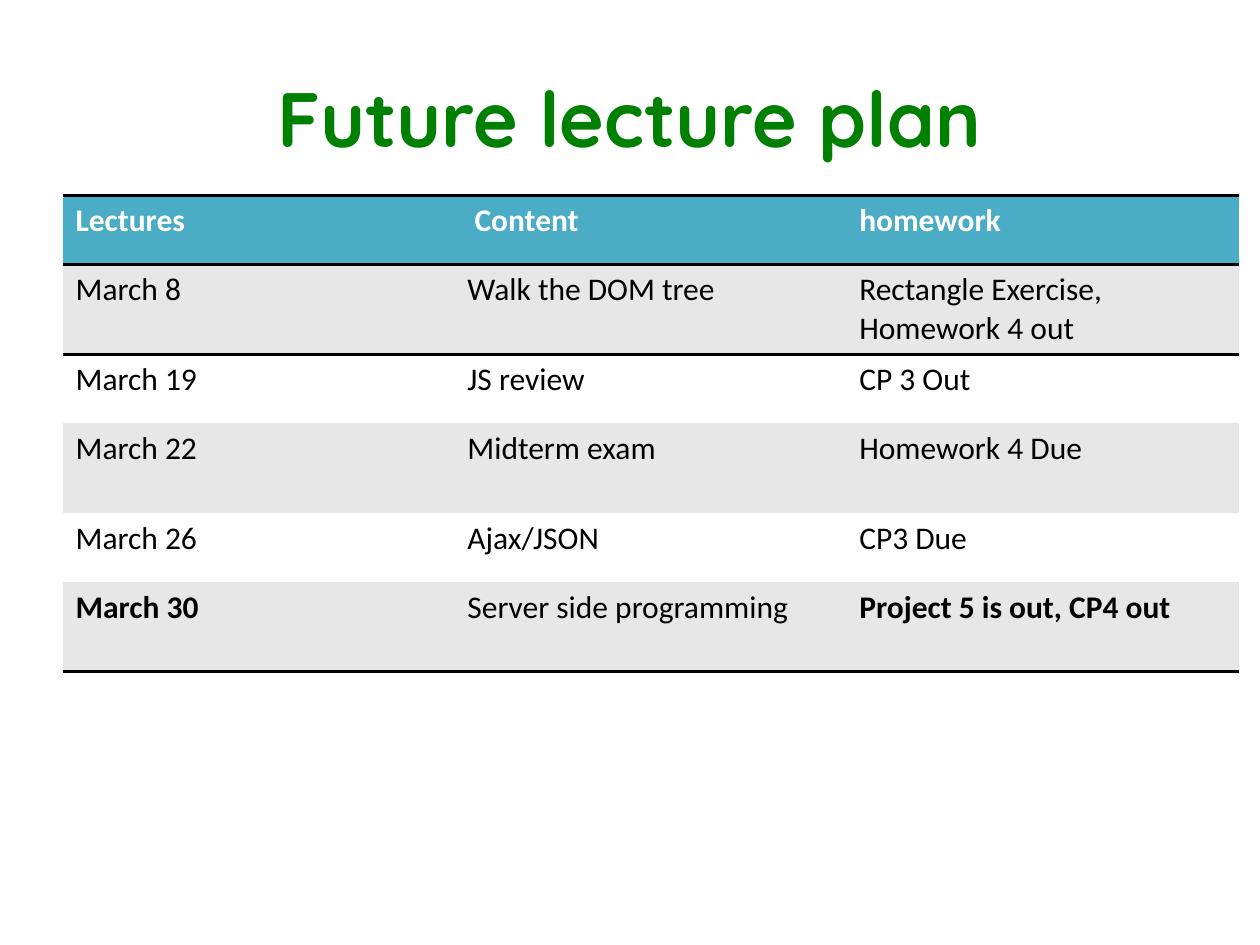
from lxml import etree
from pptx import Presentation
from pptx import util as u
from pptx.dml.color import RGBColor
from pptx.enum import text as t
from pptx.oxml.ns import qn


def style(run, **form):
    color = form.pop("color")
    for name, value in form.items():
        setattr(run.font, name, value)
    run.font.color.rgb = RGBColor.from_string(color)


def border(cell, side):
    line = etree.SubElement(cell._tc.get_or_add_tcPr(), qn("a:" + side), w=str(u.Pt(2)))
    fill = etree.SubElement(line, qn("a:solidFill"))
    etree.SubElement(fill, qn("a:srgbClr"), val="000000")


deck = Presentation()
deck.slide_width, deck.slide_height = u.Inches(10), u.Inches(7.5)
slide = deck.slides.add_slide(deck.slide_layouts[5])

# Title
title = slide.shapes.title
title.left, title.top = u.Inches(0.5), u.Inches(0.3)
title.width, title.height = u.Inches(9), u.Inches(1.25)
frame = title.text_frame
frame.text = "Future lecture plan"
frame.vertical_anchor = t.MSO_ANCHOR.MIDDLE
frame.paragraphs[0].alignment = t.PP_ALIGN.CENTER
style(frame.paragraphs[0].runs[0], name="Quicksand", size=u.Pt(44), bold=True, color="008000")

# Lecture table
plan = [
    ("Lectures", " Content", "homework"),
    ("March 8", "Walk the DOM tree", "Rectangle Exercise, Homework 4 out"),
    ("March 19", "JS review", "CP 3 Out"),
    ("March 22", "Midterm exam", "Homework 4 Due"),
    ("March 26", "Ajax/JSON", "CP3 Due"),
    ("March 30", "Server side programming", "Project 5 is out, CP4 out"),
]
strong = {"March 30", "Project 5 is out, CP4 out"}
last = len(plan) - 1
table = slide.shapes.add_table(len(plan), 3, u.Inches(0.5), u.Inches(1.55),
                               u.Inches(9.33), u.Inches(3.78)).table
# Plain table style without grid lines
table._tbl.tblPr.find(qn("a:tableStyleId")).text = "{2D5ABB26-0587-4C30-8999-92F81FD0307C}"
for col in table.columns:
    col.width = u.Inches(3.11)

for r, words in enumerate(plan):
    head, odd = r == 0, r % 2 == 1
    table.rows[r].height = u.Inches(0.71 if odd else 0.55)
    # Odd rows are shaded and taller
    shade = "4BACC6" if head else "E7E7E7" if odd else "FFFFFF"
    for c, word in enumerate(words):
        cell = table.cell(r, c)
        if r in (0, 1):
            border(cell, "lnT")
        if r in (0, last):
            border(cell, "lnB")
        cell.fill.solid()
        cell.fill.fore_color.rgb = RGBColor.from_string(shade)
        cell.text = word
        style(cell.text_frame.paragraphs[0].runs[0], name="Calibri", size=u.Pt(18),
              bold=head or word in strong, color="FFFFFF" if head else "000000")

deck.save("out.pptx")
